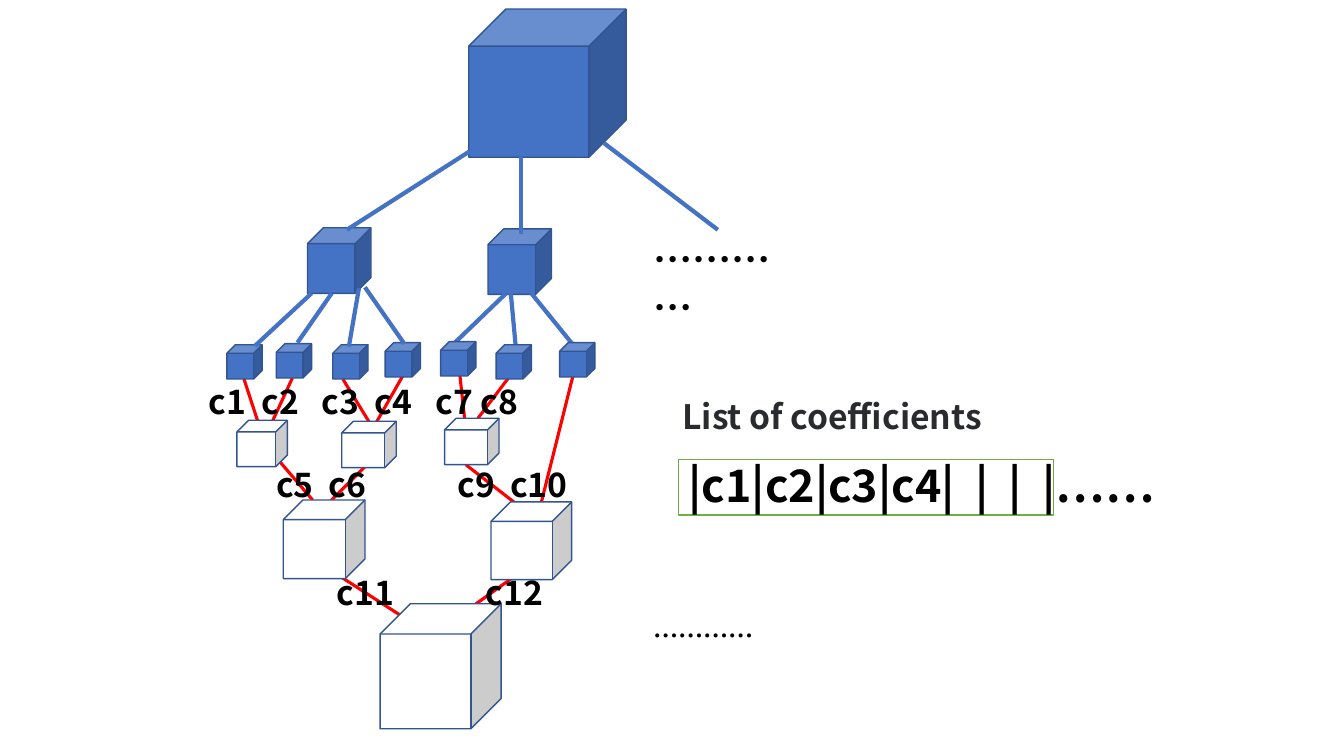
import pptx
import pptx.dml.color
import pptx.enum.shapes
import pptx.enum.text
import pptx.oxml.ns
import pptx.util
from lxml import etree

RGB = pptx.dml.color.RGBColor
BLUE = RGB(0x44, 0x72, 0xC4)
EDGE = RGB(0x32, 0x54, 0x91)
RED = RGB(0xFF, 0x00, 0x00)
GREEN = RGB(0x70, 0xAD, 0x47)
WHITE = RGB(0xFF, 0xFF, 0xFF)
BLACK = RGB(0x00, 0x00, 0x00)
INK = RGB(0x2A, 0x2B, 0x2E)
FONT = "Noto Sans CJK SC"
CELL = 0.1
INSET = 1
TREE_BOX = (20, 0)
LIST_BOX = (63, 22)

SPLIT_CUBES = [(26.5, 0.9, 15.6, 14.7), (10.5, 22.6, 6.3, 6.5), (28.4, 22.7, 6.3, 6.5)]
LEFT_LEAVES = [(2.5, 34.2), (7.4, 34.1), (13, 34.2), (18.2, 34)]
RIGHT_LEAVES = [(23.7, 33.9), (29.2, 34.2), (35.5, 34)]
LEAF_SIZE = (3.5, 3.4)
MERGE_CUBES = [
    (3.5, 41.7, 5, 4.6), (13.9, 41.8, 5.4, 4.6), (24.1, 41.5, 5.4, 4.6),
    (8.1, 49.6, 8.1, 7.8), (28.7, 49.8, 8, 7.7), (17.7, 59.9, 12, 12.4),
]
SPLIT_LINKS = [
    (26.6, 15, 14.4, 22.8), (31.7, 15.6, 31.7, 23.2), (39.9, 14.2, 51.2, 22.8),
    (10.9, 29.1, 5.3, 34.3), (12.9, 29.1, 9.5, 34), (15.6, 28.6, 14.6, 34.4),
    (16.2, 28.5, 20.1, 34.1), (30.2, 29.1, 24.8, 34.3), (30.6, 28.4, 31.2, 34.9),
    (32.7, 29.1, 37.4, 34.9),
]
MERGE_LINKS = [
    (4.2, 37.6, 5.7, 42.2), (9, 37.5, 6.7, 42.5), (14, 37.6, 16.7, 42),
    (20, 37.2, 17.1, 42.3), (25.6, 37.1, 26.2, 42.6), (30.5, 37.4, 27.4, 41.5),
    (6.9, 44.8, 11, 49.6), (17.4, 45.1, 12.5, 50), (26.2, 46.1, 32.9, 51.3),
    (36.8, 37.4, 33.7, 49.8), (13.3, 56.9, 22.9, 63.1), (31, 57.2, 22.6, 63.2),
]
LABEL_ROWS = [
    (37.3, [(0.7, "c1"), (6, "c2"), (11.9, "c3"), (17.2, "c4"), (23.2, "c7"), (27.7, "c8")]),
    (45.5, [(7.4, "c5"), (12.6, "c6"), (25.4, "c9"), (30.6, "c10")]),
    (56.2, [(13.4, "c11"), (28.2, "c12")]),
]


def length(cells):
    """Turn grid cells into a length."""
    return pptx.util.Inches(cells * CELL)


def place(box, x, y):
    """Return the slide position of a point given in cells of the box."""
    return length(box[0] + x), length(box[1] + y)


def add_solid(slide, box, kind, bounds, fill, edge):
    """Add a filled and outlined preset shape."""
    x, y, w, h = bounds
    sp = slide.shapes.add_shape(kind, *place(box, x, y), length(w), length(h))
    sp.shadow.inherit = False
    sp.fill.solid()
    sp.fill.fore_color.rgb = fill
    sp.line.color.rgb = edge
    sp.line.width = pptx.util.Pt(1)


def add_cubes(slide, box, cubes, fill):
    """Add a series of cubes of one colour."""
    for bounds in cubes:
        add_solid(slide, box, pptx.enum.shapes.MSO_SHAPE.CUBE, bounds, fill, EDGE)


def add_links(slide, box, links, color, width):
    """Add straight links between cubes."""
    for x1, y1, x2, y2 in links:
        sp = slide.shapes.add_connector(
            pptx.enum.shapes.MSO_CONNECTOR.STRAIGHT, *place(box, x1, y1), *place(box, x2, y2))
        sp.line.color.rgb = color
        sp.line.width = pptx.util.Pt(width)
        etree.SubElement(sp._element.spPr, pptx.oxml.ns.qn("a:effectLst"))


def add_text(slide, box, bounds, text, size, color=BLACK):
    """Add a bold text box and return its paragraph."""
    x, y, w, h = bounds
    sp = slide.shapes.add_textbox(*place(box, x, y), length(w), length(h))
    tf = sp.text_frame
    tf.word_wrap = True
    tf.auto_size = pptx.enum.text.MSO_AUTO_SIZE.SHAPE_TO_FIT_TEXT
    p = tf.paragraphs[0]
    r = p.add_run()
    r.text = text
    style = {"name": FONT, "size": pptx.util.Pt(size), "bold": True}
    for key, value in style.items():
        setattr(r.font, key, value)
    r.font.color.rgb = color
    ea = etree.SubElement(r.font._element, pptx.oxml.ns.qn("a:ea"))
    ea.set("typeface", FONT)
    return p


def add_label_row(slide, box, y, labels):
    """Add one row of coefficient labels aligned by tab stops."""
    left = labels[0][0] - INSET
    text = "\t".join(name for _, name in labels)
    p = add_text(slide, box, (left, y, 45, 5), text, 24)
    tabs = etree.SubElement(p._p.get_or_add_pPr(), pptx.oxml.ns.qn("a:tabLst"))
    for x, _ in labels[1:]:
        tab = etree.SubElement(tabs, pptx.oxml.ns.qn("a:tab"))
        tab.set("pos", str(length(x - left - INSET)))
        tab.set("algn", "l")


def add_tree(slide, box):
    """Draw the cubes that split, then merge, with their coefficients."""
    left, right = ([leaf + LEAF_SIZE for leaf in side] for side in (LEFT_LEAVES, RIGHT_LEAVES))
    add_links(slide, box, MERGE_LINKS, RED, 2.25)
    add_cubes(slide, box, SPLIT_CUBES + left, BLUE)
    add_links(slide, box, SPLIT_LINKS, BLUE, 3)
    add_cubes(slide, box, right, BLUE)
    add_cubes(slide, box, MERGE_CUBES, WHITE)
    for y, labels in LABEL_ROWS:
        add_label_row(slide, box, y, labels)


def add_coefficient_list(slide, box):
    """Draw the list of coefficients and the ellipses around it."""
    add_text(slide, box, (0.8, 0.9, 15.5, 5.7), "…………", 28)
    add_text(slide, box, (0.8, 39.1, 21.3, 4), "…………", 18)
    add_solid(slide, box, pptx.enum.shapes.MSO_SHAPE.RECTANGLE, (4.3, 23.6, 37.2, 5.5), WHITE, GREEN)
    add_text(slide, box, (4.3, 22.9, 48.6, 6.4), "|c1|c2|c3|c4|  |  |  |……", 32)
    add_text(slide, box, (3.7, 16.8, 66.6, 5), "List of coefficients", 24, INK)


def main():
    """Build the slide and save it."""
    prs = pptx.Presentation()
    prs.slide_width = pptx.util.Inches(13.33)
    prs.slide_height = pptx.util.Inches(7.5)
    slide = prs.slides.add_slide(prs.slide_layouts[6])
    add_tree(slide, TREE_BOX)
    add_coefficient_list(slide, LIST_BOX)
    prs.save("out.pptx")


if __name__ == "__main__":
    main()
